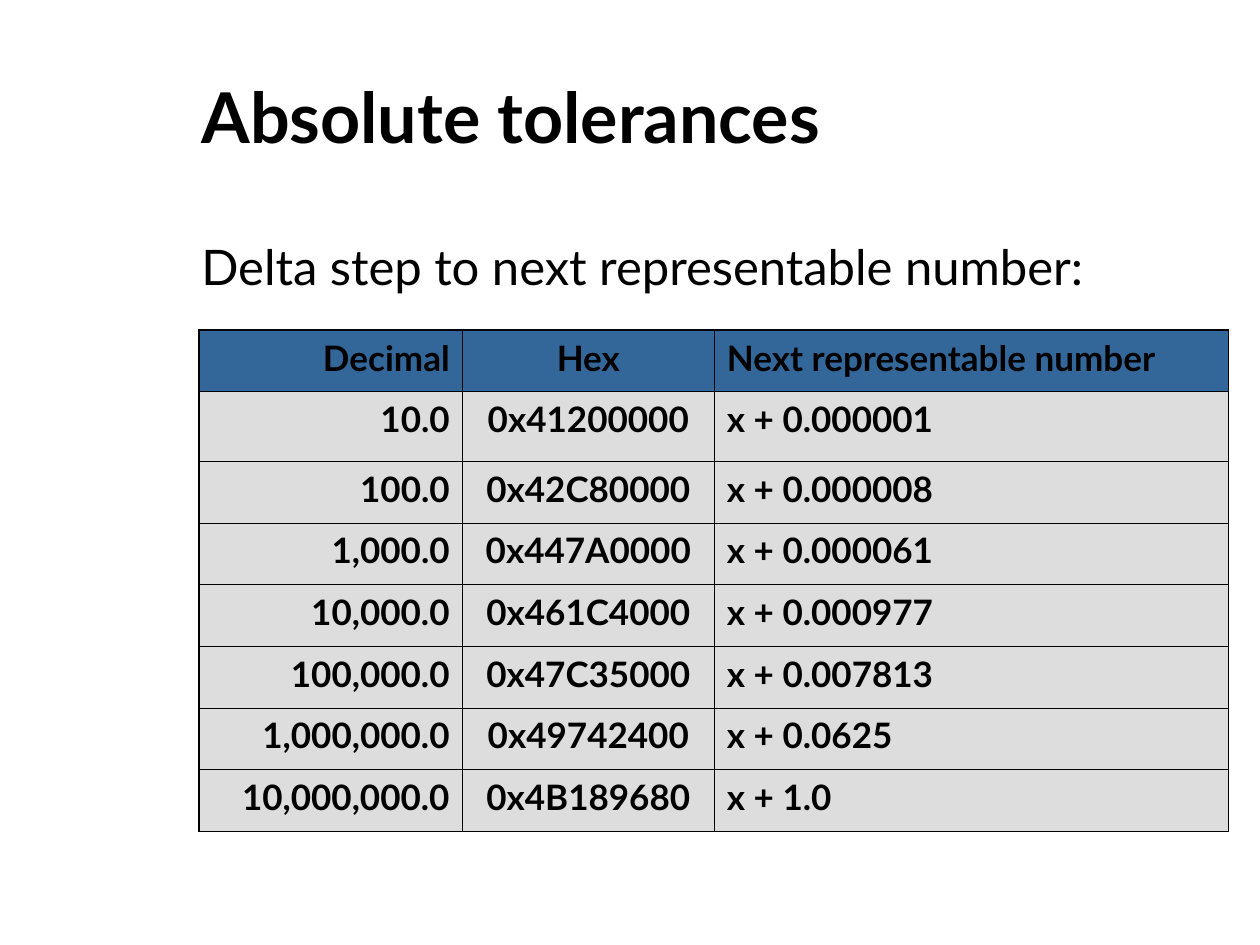
from pptx import Presentation
from pptx.dml.color import RGBColor
from pptx.enum.text import MSO_ANCHOR as Anchor, MSO_AUTO_SIZE as AutoSize, PP_ALIGN as Align
from pptx.oxml import parse_xml
from pptx.oxml.ns import nsdecls
from pptx.util import Inches, Pt

BLACK = RGBColor(0x00, 0x00, 0x00)
BLUE = RGBColor(0x33, 0x66, 0x99)
GREY = RGBColor(0xDD, 0xDD, 0xDD)
FONT = "Lato"
THIN, THICK = 0.45, 1.08

COLS = [2.09, 2, 4.08]
ROW_H, FIRST_ROW_H = 0.49, 0.55
ALIGNS = [Align.RIGHT, Align.CENTER, Align.LEFT]
ROWS = [
    ("Decimal", "Hex", "Next representable number"),
    ("10.0", "0x41200000", "x + 0.000001"),
    ("100.0", "0x42C80000", "x + 0.000008"),
    ("1,000.0", "0x447A0000", "x + 0.000061"),
    ("10,000.0", "0x461C4000", "x + 0.000977"),
    ("100,000.0", "0x47C35000", "x + 0.007813"),
    ("1,000,000.0", "0x49742400", "x + 0.0625"),
    ("10,000,000.0", "0x4B189680", "x + 1.0"),
]


def write(tf, text, size, bold=False, align=Align.LEFT):
    p = tf.paragraphs[0]
    p.alignment = align
    r = p.add_run()
    r.text = text
    r.font.name = FONT
    r.font.size = Pt(size)
    r.font.bold = bold
    r.font.color.rgb = BLACK


def add_title(s, text):
    title = s.shapes.title
    title.left, title.top = Inches(1.5), Inches(0.42)
    title.width, title.height = Inches(8.25), Inches(1)
    tf = title.text_frame
    tf.auto_size = AutoSize.NONE
    tf.vertical_anchor = Anchor.MIDDLE
    write(tf, text, 40, bold=True)


def add_lead(s, text):
    box = s.shapes.add_textbox(Inches(1.5), Inches(1.83), Inches(8.33), Inches(0.67))
    tf = box.text_frame
    tf.word_wrap = True
    write(tf, text, 28)


def set_borders(cell, **widths):
    tc_pr = cell._tc.get_or_add_tcPr()
    for side in "LRTB":
        tc_pr.append(parse_xml(
            f'<a:ln{side} {nsdecls("a")} w="{Pt(widths[side])}"><a:solidFill>'
            f'<a:srgbClr val="{BLACK}"/></a:solidFill></a:ln{side}>'))


def add_step_table(s):
    last_row, last_col = len(ROWS) - 1, len(COLS) - 1
    heights = [ROW_H, FIRST_ROW_H] + [ROW_H] * (last_row - 1)
    frame = s.shapes.add_table(len(ROWS), len(COLS), Inches(1.58), Inches(2.62),
                               Inches(sum(COLS)), Inches(sum(heights)))
    table = frame.table
    for col, width in zip(table.columns, COLS):
        col.width = Inches(width)
    for i, (height, texts) in enumerate(zip(heights, ROWS)):
        table.rows[i].height = Inches(height)
        for j, text in enumerate(texts):
            cell = table.cell(i, j)
            set_borders(cell,
                        L=THICK if j == 0 else THIN,
                        R=THICK if j == last_col else THIN,
                        T=THICK if i == 0 else THIN,
                        B=THICK if i == last_row else THIN)
            cell.fill.solid()
            cell.fill.fore_color.rgb = BLUE if i == 0 else GREY
            write(cell.text_frame, text, 20, bold=True, align=ALIGNS[j])


def main():
    prs = Presentation()
    prs.slide_width, prs.slide_height = Inches(10), Inches(7.5)
    s = prs.slides.add_slide(prs.slide_layouts[5])
    add_title(s, "Absolute tolerances")
    add_lead(s, "Delta step to next representable number:")
    add_step_table(s)
    prs.save("out.pptx")


if __name__ == "__main__":
    main()
